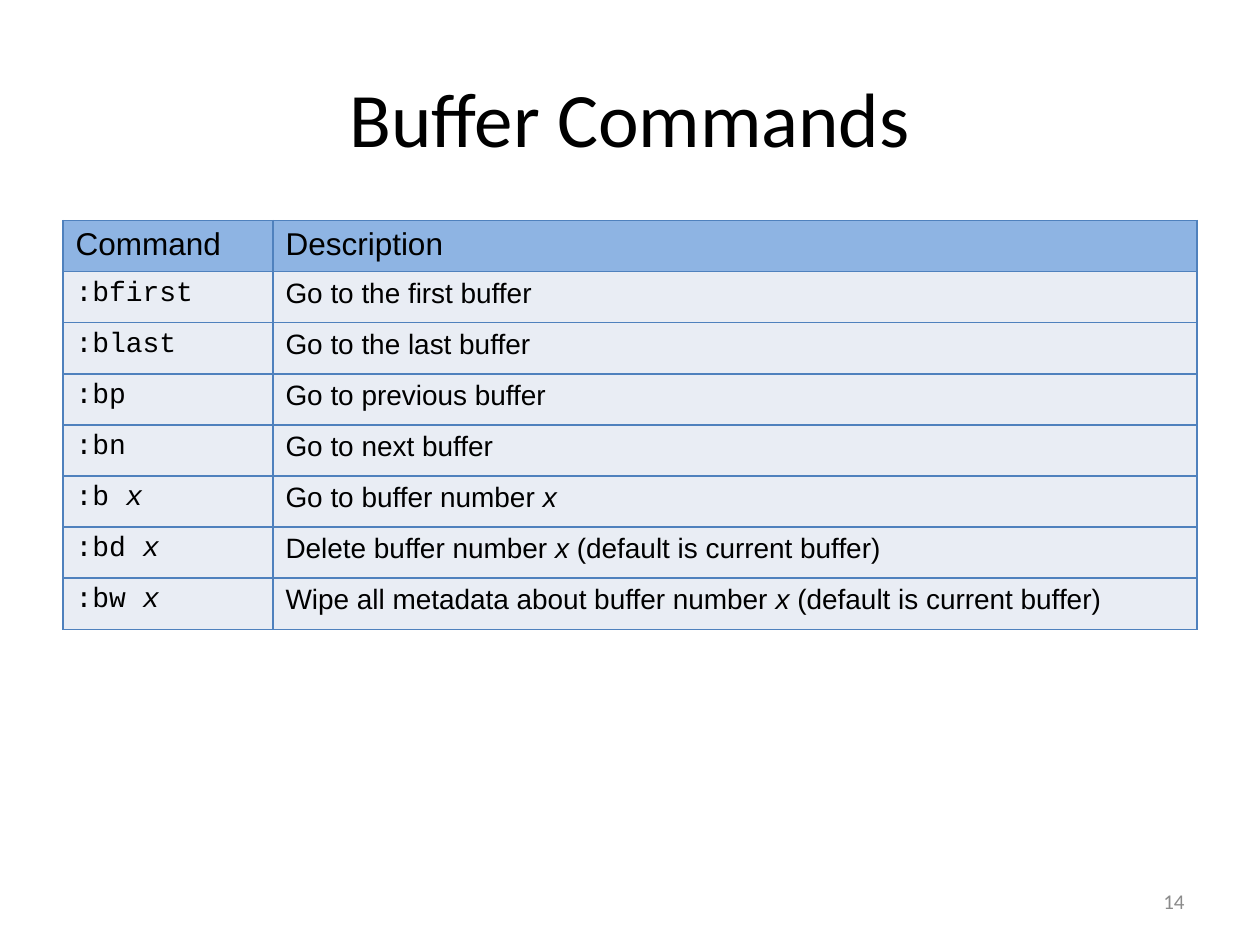
from lxml.etree import SubElement
from pptx import Presentation
from pptx.dml.color import RGBColor
from pptx.enum.text import MSO_ANCHOR as Anchor, PP_ALIGN as Align
from pptx.oxml.ns import qn
from pptx.util import Pt

COMMANDS = [
    (":bfirst", "Go to the first buffer"),
    (":blast", "Go to the last buffer"),
    (":bp", "Go to previous buffer"),
    (":bn", "Go to next buffer"),
    (":b *x*", "Go to buffer number *x*"),
    (":bd *x*", "Delete buffer number *x* (default is current buffer)"),
    (":bw *x*", "Wipe all metadata about buffer number *x* (default is current buffer)"),
]


def color(code):
    """Turn a hex string into a colour."""
    return RGBColor.from_string(code)


def write(frame, text, font="Arial", size=16, ink="000000", align=Align.LEFT):
    """Write one paragraph; parts between asterisks are italic."""
    para = frame.paragraphs[0]
    para.alignment = align
    for index, part in enumerate(text.split("*")):
        if part:
            span = para.add_run()
            span.text = part
            span.font.name = font
            span.font.size = Pt(size)
            span.font.color.rgb = color(ink)
            span.font.italic = index % 2 == 1


class SlideBuilder:
    """Holds the style and the current slide."""

    header_fill = "8EB4E3"
    body_fill = "E9EDF4"
    border = "4F81BD"
    heading_font = "Calibri"
    code_font = "Courier New"
    text_font = "Arial"

    def __init__(self, deck):
        """Add a blank slide to the deck."""
        self.page = deck.slides.add_slide(deck.slide_layouts[6])

    def text(self, left, top, width, height, text, **style):
        """Add a vertically centred text box."""
        box = self.page.shapes.add_textbox(Pt(left), Pt(top), Pt(width), Pt(height))
        box.text_frame.word_wrap = True
        box.text_frame.vertical_anchor = Anchor.MIDDLE
        write(box.text_frame, text, font=self.heading_font, **style)

    def outline(self, cell):
        """Draw a thin line on all four sides of a cell."""
        properties = cell._tc.get_or_add_tcPr()
        for position, side in enumerate(("a:lnL", "a:lnR", "a:lnT", "a:lnB")):
            line = properties.makeelement(qn(side), {"w": str(Pt(1))})
            properties.insert(position, line)
            fill = SubElement(line, qn("a:solidFill"))
            SubElement(fill, qn("a:srgbClr"), val=self.border)

    def cell(self, cell, text, fill, **style):
        """Fill, outline and label one table cell."""
        cell.fill.solid()
        cell.fill.fore_color.rgb = color(fill)
        self.outline(cell)
        write(cell.text_frame, text, **style)

    def table(self, left, top, widths, row_height, header, rows):
        """Add a table with a header row and a code column."""
        count = len(rows) + 1
        grid = self.page.shapes.add_table(
            count, len(widths), Pt(left), Pt(top),
            Pt(sum(widths)), Pt(row_height * count)).table
        for column, width in zip(grid.columns, widths):
            column.width = Pt(width)
        for row in grid.rows:
            row.height = Pt(row_height)
        for index, label in enumerate(header):
            self.cell(grid.cell(0, index), label, self.header_fill, size=18)
        fonts = (self.code_font, self.text_font)
        for number, row in enumerate(rows, start=1):
            for index, (text, font) in enumerate(zip(row, fonts)):
                self.cell(grid.cell(number, index), text, self.body_fill, font=font)


def main():
    """Build and save the deck."""
    deck = Presentation()
    deck.slide_width, deck.slide_height = Pt(720), Pt(540)
    slide = SlideBuilder(deck)
    slide.text(36, 21.6, 648, 90, "Buffer Commands", size=44, align=Align.CENTER)
    slide.table(36, 126, (120, 528), 29.2, ("Command", "Description"), COMMANDS)
    slide.text(516, 500.5, 168, 28.75, "14", size=12, ink="8B8B8B", align=Align.RIGHT)
    deck.save("out.pptx")


main()
